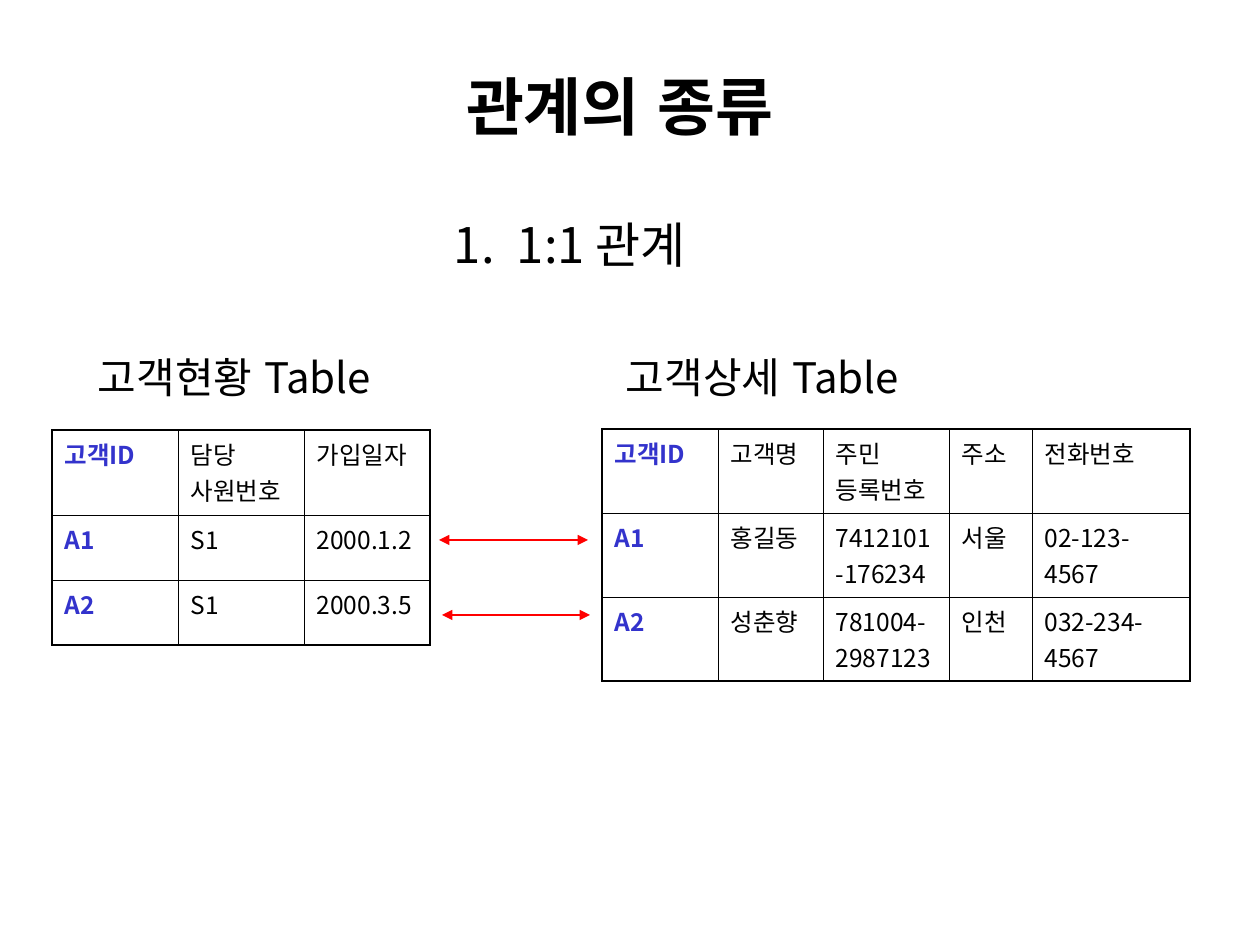
from dataclasses import dataclass

from lxml.etree import SubElement
from pptx import Presentation
from pptx.dml.color import RGBColor
from pptx.enum.lang import MSO_LANGUAGE_ID
from pptx.enum.shapes import MSO_CONNECTOR
from pptx.enum.text import MSO_ANCHOR, PP_ALIGN
from pptx.oxml.ns import qn
from pptx.util import Emu, Pt

FONT = "Noto Sans CJK KR"
BLACK, KEY_BLUE, RED = "000000", "3333CC", "FF0000"
OUTER, INNER = 1.08, 0.45
EMU_PER_PX = 914400 / 126


@dataclass(frozen=True)
class Caption:
    text: str
    left: int
    top: int
    width: int
    height: int
    size: int
    bold: bool = False
    align: PP_ALIGN = PP_ALIGN.LEFT
    inset: int = 13
    tab: int = 0


@dataclass(frozen=True)
class Relation:
    left: int
    top: int
    columns: tuple[int, ...]
    rows: tuple[int, ...]
    records: tuple[tuple[str, ...], ...]


@dataclass(frozen=True)
class Link:
    start: int
    end: int
    y: int


CAPTIONS = (
    Caption("관계의 종류", 84, 53, 1071, 105, 36, True, PP_ALIGN.CENTER),
    Caption("1.\t1:1 관계", 441, 208, 305, 72, 28, tab=63),
    Caption("고객현황 Table\t고객상세 Table", 63, 345, 1134, 63, 24, inset=35, tab=528),
)
RELATIONS = (
    Relation(52, 430, (126, 126, 126), (85, 65, 65), (
        ("고객ID", "담당\v사원번호", "가입일자"),
        ("A1", "S1", "2000.1.2"),
        ("A2", "S1", "2000.3.5"),
    )),
    Relation(602, 429, (116, 105, 126, 83, 158), (84, 84, 84), (
        ("고객ID", "고객명", "주민\v등록번호", "주소", "전화번호"),
        ("A1", "홍길동", "7412101-176234", "서울", "02-123-4567"),
        ("A2", "성춘향", "781004-2987123", "인천", "032-234-4567"),
    )),
)
LINKS = (Link(439, 588, 540), Link(442, 590, 615))


def px(length: int) -> Emu:
    return Emu(round(length * EMU_PER_PX))


def color(value: str) -> RGBColor:
    return RGBColor.from_string(value)


def write(paragraph, text: str, size: int, bold: bool, ink: str) -> None:
    paragraph.text = text
    formats = {
        "name": FONT,
        "size": Pt(size),
        "bold": bold,
        "language_id": MSO_LANGUAGE_ID.KOREAN,
    }
    for run in paragraph.runs:
        for attribute, value in formats.items():
            setattr(run.font, attribute, value)
        run.font.color.rgb = color(ink)
        SubElement(run._r.get_or_add_rPr(), qn("a:ea"), typeface=FONT)
    for line_break in paragraph._p.findall(qn("a:br")):
        SubElement(line_break, qn("a:rPr"), lang="ko-KR", sz=str(size * 100))


def draw_caption(slide, caption: Caption) -> None:
    box = slide.shapes.add_textbox(
        px(caption.left), px(caption.top), px(caption.width), px(caption.height)
    )
    frame = box.text_frame
    layout = {
        "word_wrap": True,
        "vertical_anchor": MSO_ANCHOR.MIDDLE,
        "margin_left": px(caption.inset),
    }
    for attribute, value in layout.items():
        setattr(frame, attribute, value)
    paragraph = frame.paragraphs[0]
    paragraph.alignment = caption.align
    if caption.tab:
        tabs = SubElement(paragraph._p.get_or_add_pPr(), qn("a:tabLst"))
        SubElement(tabs, qn("a:tab"), pos=str(px(caption.tab)), algn="l")
    write(paragraph, caption.text, caption.size, caption.bold, BLACK)


def set_borders(cell, widths: dict[str, float]) -> None:
    properties = cell._tc.get_or_add_tcPr()
    for side, width in widths.items():
        line = SubElement(properties, qn(f"a:ln{side}"), w=str(Pt(width)))
        fill = SubElement(line, qn("a:solidFill"))
        SubElement(fill, qn("a:srgbClr"), val=BLACK)


def draw_relation(slide, relation: Relation) -> None:
    last_row, last_column = len(relation.rows) - 1, len(relation.columns) - 1
    table = slide.shapes.add_table(
        last_row + 1, last_column + 1, px(relation.left), px(relation.top),
        px(sum(relation.columns)), px(sum(relation.rows)),
    ).table
    table.first_row = table.horz_banding = False
    for column, width in zip(table.columns, relation.columns):
        column.width = px(width)
    for row, height in zip(table.rows, relation.rows):
        row.height = px(height)
    for r, record in enumerate(relation.records):
        for c, value in enumerate(record):
            cell = table.cell(r, c)
            is_key = c == 0
            write(cell.text_frame.paragraphs[0], value, 14, is_key,
                  KEY_BLUE if is_key else BLACK)
            set_borders(cell, {
                "L": OUTER if c == 0 else INNER,
                "R": OUTER if c == last_column else INNER,
                "T": OUTER if r == 0 else INNER,
                "B": OUTER if r == last_row else INNER,
            })
            cell.fill.background()


def draw_link(slide, link: Link) -> None:
    arrow = slide.shapes.add_connector(
        MSO_CONNECTOR.STRAIGHT, px(link.start), px(link.y), px(link.end), px(link.y)
    )
    arrow.line.color.rgb = color(RED)
    arrow.line.width = Pt(0.75)
    for end in ("headEnd", "tailEnd"):
        SubElement(arrow.line._get_or_add_ln(), qn(f"a:{end}"), type="triangle")
    SubElement(arrow._element.spPr, qn("a:effectLst"))


def main() -> None:
    presentation = Presentation()
    presentation.slide_width, presentation.slide_height = px(1260), px(945)
    slide = presentation.slides.add_slide(presentation.slide_layouts[6])
    for caption in CAPTIONS:
        draw_caption(slide, caption)
    for relation in RELATIONS:
        draw_relation(slide, relation)
    for link in LINKS:
        draw_link(slide, link)
    presentation.save("out.pptx")


if __name__ == "__main__":
    main()
